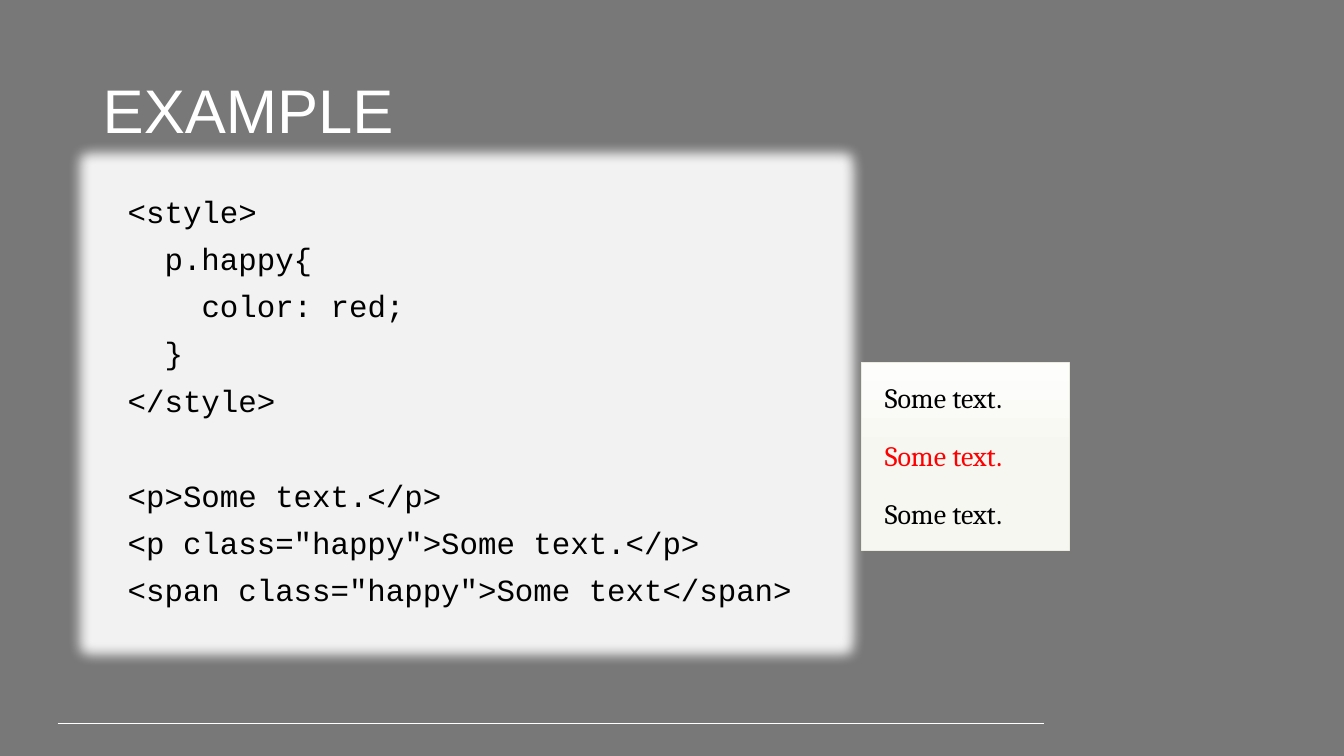
from copy import deepcopy

from lxml.etree import SubElement
from pptx import Presentation
from pptx.dml.color import RGBColor
from pptx.enum.shapes import MSO_CONNECTOR, MSO_SHAPE
from pptx.enum.text import MSO_ANCHOR, PP_ALIGN
from pptx.oxml.ns import qn
from pptx.util import Cm, Pt

TITLE = "EXAMPLE"
CODE_BLOCKS = [
    [(0, "<style>"), (1, "p.happy{"), (2, "color: red;"), (1, "}"), (0, "</style>")],
    [
        (0, "<p>Some text.</p>"),
        (0, '<p class="happy">Some text.</p>'),
        (0, '<span class="happy">Some text</span>'),
    ],
]
RESULTS = [("Some text.", "ink"), ("Some text.", "happy"), ("Some text.", "ink")]

THEME = {
    "colors": {
        "back": "787878", "white": "FFFFFF", "panel": "F2F2F2",
        "ink": "000000", "happy": "FF0000", "edge": "EBEBDF",
    },
    "gradient": [(0, "FDFDFC"), (0.5, "F7F7F2"), (1, "F6F6F0")],
    "title": {"name": "Arial", "size": Pt(44)},
    "code": {"name": "Courier New", "size": Pt(22)},
    "result": {"name": "Cambria", "size": Pt(20)},
}

TITLE_BOX = (2.34, 1.02, 29.21, 3.68)
CODE_BOX = (2.97, 4.83, 17.58, 10.72)
RESULT_BOX = (21.72, 9.12, 5.23, 4.75)
RESULT_LINE = (22.05, 9.47, 4.6, 1.12)
RESULT_STEP = 1.46
FOOT_LINE = (1.45, 18.24, 26.31, 18.24)
CODE_INDENT = 0.93
LINE_GAP = 10
BLOCK_GAP = 44
GLOW = Cm(0.64)


def color(key):
    return RGBColor.from_string(THEME["colors"][key])


def cm(box):
    return [Cm(v) for v in box]


def add_line(tf, text, style, ink, first=True, **layout):
    p = tf.paragraphs[0] if first else tf.add_paragraph()
    for name, value in {"alignment": PP_ALIGN.LEFT, **layout}.items():
        setattr(p, name, value)
    r = p.add_run()
    r.text = text
    for name, value in THEME[style].items():
        setattr(r.font, name, value)
    r.font.color.rgb = color(ink)
    return p


def add_text(s, box, text, style, ink, anchor=MSO_ANCHOR.TOP, **layout):
    tf = s.shapes.add_textbox(*cm(box)).text_frame
    tf.word_wrap = True
    tf.vertical_anchor = anchor
    add_line(tf, text, style, ink, **layout)


def add_panel(s, box):
    sp = s.shapes.add_shape(MSO_SHAPE.RECTANGLE, *cm(box))
    sp.shadow.inherit = False
    return sp


def add_code(s):
    sp = add_panel(s, CODE_BOX)
    sp.fill.solid()
    sp.fill.fore_color.rgb = color("panel")
    sp.line.fill.background()
    effects = sp._element.spPr.find(qn("a:effectLst"))
    glow = SubElement(effects, qn("a:glow"), rad=str(GLOW))
    SubElement(glow, qn("a:srgbClr"), val=THEME["colors"]["panel"])
    tf = sp.text_frame
    tf.word_wrap = True
    tf.vertical_anchor = MSO_ANCHOR.TOP
    for b, block in enumerate(CODE_BLOCKS):
        for i, (level, text) in enumerate(block):
            gap = BLOCK_GAP if b and i == 0 else LINE_GAP
            p = add_line(tf, text, "code", "ink", first=b == i == 0,
                         line_spacing=0.9, space_before=Pt(gap))
            p._p.get_or_add_pPr().set("marL", str(Cm(CODE_INDENT * level)))


def add_results(s):
    sp = add_panel(s, RESULT_BOX)
    sp.fill.gradient()
    sp.fill.gradient_angle = 270
    stops = sp._element.spPr.find(qn("a:gradFill")).find(qn("a:gsLst"))
    stops.insert(1, deepcopy(stops[0]))
    for stop, (position, value) in zip(sp.fill.gradient_stops, THEME["gradient"]):
        stop.position = position
        stop.color.rgb = RGBColor.from_string(value)
    sp.line.color.rgb = color("edge")
    sp.line.width = Pt(0.5)
    left, top, width, height = RESULT_LINE
    for i, (text, ink) in enumerate(RESULTS):
        add_text(s, (left, top + i * RESULT_STEP, width, height), text, "result", ink)


def add_foot_line(s):
    line = s.shapes.add_connector(MSO_CONNECTOR.STRAIGHT, *cm(FOOT_LINE))
    line.line.color.rgb = color("white")
    line.line.width = Pt(0.75)
    SubElement(line._element.spPr, qn("a:effectLst"))


def main():
    prs = Presentation()
    prs.slide_width, prs.slide_height = Cm(33.87), Cm(19.05)
    s = prs.slides.add_slide(prs.slide_layouts[6])
    s.background.fill.solid()
    s.background.fill.fore_color.rgb = color("back")
    add_foot_line(s)
    add_text(s, TITLE_BOX, TITLE, "title", "white", MSO_ANCHOR.MIDDLE, line_spacing=0.9)
    add_code(s)
    add_results(s)
    prs.save("out.pptx")


if __name__ == "__main__":
    main()
